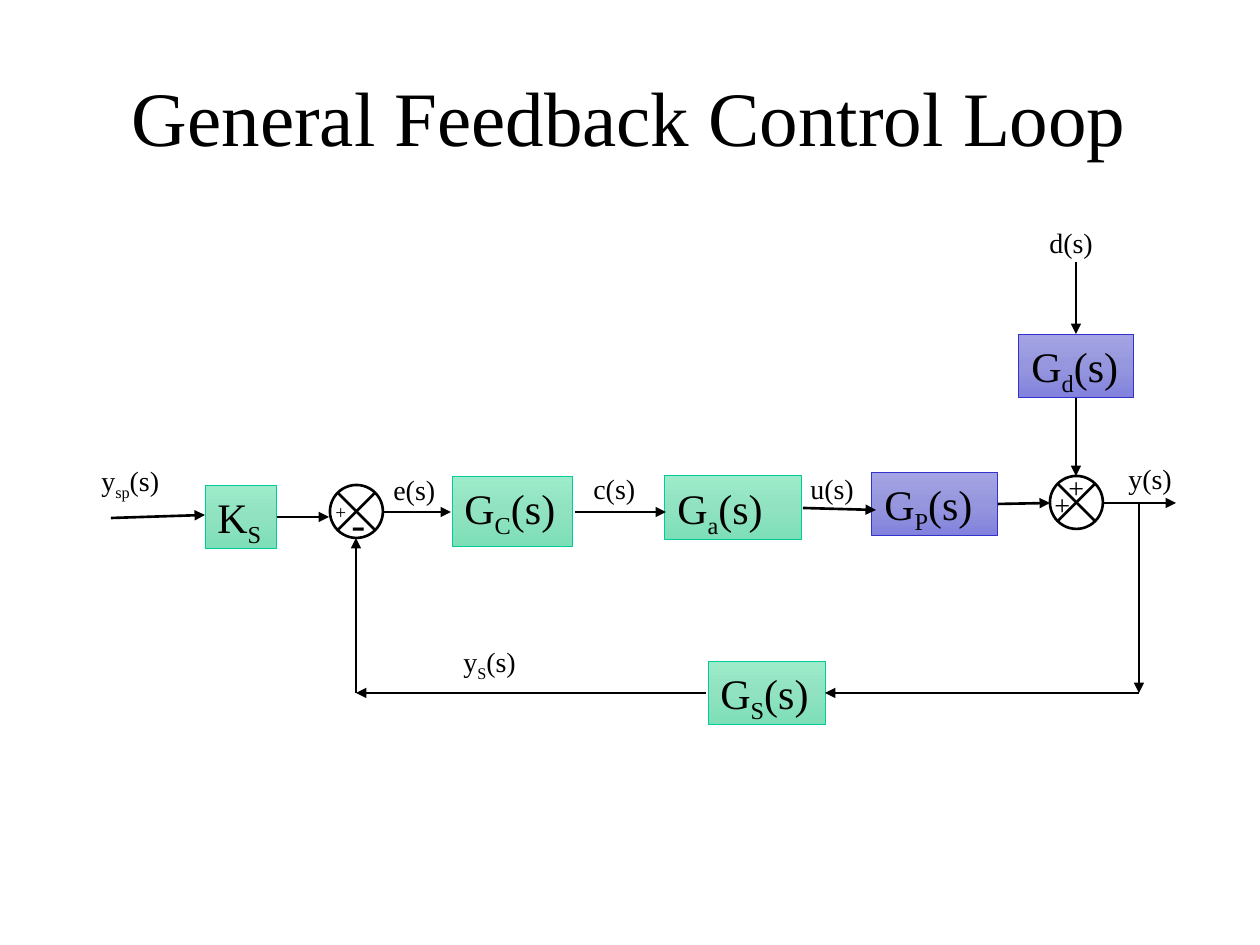
import copy

import pptx
import pptx.dml.color
import pptx.enum.shapes
import pptx.enum.text
import pptx.oxml
import pptx.oxml.ns
import pptx.util

SHAPE = pptx.enum.shapes.MSO_SHAPE
ANCHOR = pptx.enum.text.MSO_ANCHOR
ALIGN = pptx.enum.text.PP_ALIGN
AUTO_SIZE = pptx.enum.text.MSO_AUTO_SIZE
qn = pptx.oxml.ns.qn

EMU_PER_PX = 914400 // 126
GREEN = ("9DEBCA", "90E2C0", "7CDFB8", "00CC99")
BLUE = ("A4A4E4", "9696DE", "8282DE", "3333CC")


def px(*lengths):
    return [pptx.util.Emu(n * EMU_PER_PX) for n in lengths]


def rgb(value):
    return pptx.dml.color.RGBColor.from_string(value)


class Diagram:
    font = "Times New Roman"
    ink = "000000"
    line_width = 1.5

    def __init__(self, slide):
        self.s = slide

    def add_text(self, tf, parts, size, wrap, align=ALIGN.LEFT, anchor=ANCHOR.TOP):
        tf.word_wrap = wrap
        tf.vertical_anchor = anchor
        p = tf.paragraphs[0]
        p.alignment = align
        for i, part in enumerate(parts):
            r = p.add_run()
            r.text = part
            r.font.name = self.font
            r.font.size = pptx.util.Pt(size)
            r.font.color.rgb = rgb(self.ink)
            if i == 1:
                r._r.get_or_add_rPr().set("baseline", "-25000")

    def stroke(self, line, color, width):
        line.color.rgb = rgb(color)
        line.width = pptx.util.Pt(width)

    def title(self, text, *box):
        sp = self.s.shapes.title
        sp.left, sp.top, sp.width, sp.height = px(*box)
        sp.text_frame.auto_size = AUTO_SIZE.NONE
        self.add_text(sp.text_frame, [text], 44, True, ALIGN.CENTER, ANCHOR.MIDDLE)

    def block(self, parts, palette, *box, wrap=False):
        sp = self.s.shapes.add_shape(SHAPE.RECTANGLE, *px(*box))
        sp.shadow.inherit = False
        sp.fill.gradient()
        sp.fill.gradient_angle = 270
        gs = sp._element.spPr.find(".//" + qn("a:gs"))
        gs.addnext(copy.deepcopy(gs))
        for stop, color, position in zip(sp.fill.gradient_stops, palette, (0, 0.5, 1)):
            stop.color.rgb = rgb(color)
            stop.position = position
        self.stroke(sp.line, palette[-1], 0.5)
        self.add_text(sp.text_frame, parts, 24, wrap)
        sp.text_frame.auto_size = AUTO_SIZE.SHAPE_TO_FIT_TEXT

    def junction(self, x, y, size=53):
        sp = self.s.shapes.add_shape(SHAPE.FLOWCHART_SUMMING_JUNCTION, *px(x, y, size, size))
        sp.shadow.inherit = False
        sp.fill.background()
        self.stroke(sp.line, self.ink, self.line_width)

    def arrow(self, *ends):
        c = self.s.shapes.add_connector(pptx.enum.shapes.MSO_CONNECTOR.STRAIGHT, *px(*ends))
        self.stroke(c.line, self.ink, self.line_width)
        ln = c.line._get_or_add_ln()
        ln.append(pptx.oxml.parse_xml(f'<a:tailEnd {pptx.oxml.ns.nsdecls("a")} type="triangle"/>'))
        c._element.spPr.append(pptx.oxml.parse_xml(f'<a:effectLst {pptx.oxml.ns.nsdecls("a")}/>'))

    def label(self, parts, x, y, w, h=47, size=16, wrap=False):
        sp = self.s.shapes.add_textbox(*px(x, y, w, h))
        self.add_text(sp.text_frame, parts, size, wrap)
        sp.text_frame.auto_size = AUTO_SIZE.SHAPE_TO_FIT_TEXT


def main():
    prs = pptx.Presentation()
    prs.slide_width, prs.slide_height = px(1260, 945)
    d = Diagram(prs.slides.add_slide(prs.slide_layouts[5]))

    d.title("General Feedback Control Loop", 94, 84, 1071, 63)

    d.block(["G", "P", "(s)"], BLUE, 872, 472, 126, 64, wrap=True)
    d.block(["G", "a", "(s)"], GREEN, 665, 476, 137, 64, wrap=True)
    d.block(["G", "C", "(s)"], GREEN, 452, 476, 120, 71)
    d.block(["K", "S"], GREEN, 205, 485, 72, 64)
    d.block(["G", "S", "(s)"], GREEN, 708, 661, 117, 64)
    d.block(["G", "d", "(s)"], BLUE, 1019, 334, 115, 64)

    d.junction(330, 485)
    d.junction(1050, 476)

    for ends in (
        (111, 518, 205, 515),
        (277, 517, 329, 517),
        (382, 512, 451, 512),
        (575, 512, 666, 512),
        (803, 508, 876, 510),
        (998, 504, 1050, 503),
        (1103, 503, 1176, 503),
        (1139, 503, 1139, 693),
        (1139, 693, 825, 693),
        (706, 693, 356, 693),
        (356, 693, 356, 538),
        (1076, 398, 1076, 476),
        (1076, 262, 1076, 334),
    ):
        d.arrow(*ends)

    d.label(["d(s)"], 1037, 219, 69)
    d.label(["y", "sp", "(s)"], 89, 457, 87)
    d.label(["+"], 323, 494, 35, 37, size=11, wrap=True)
    d.label(["-"], 339, 491, 37, 64, size=24, wrap=True)
    d.label(["+"], 1056, 464, 42)
    d.label(["+"], 1042, 481, 42)
    d.label(["u(s)"], 798, 465, 69)
    d.label(["y(s)"], 1116, 455, 69)
    d.label(["c(s)"], 581, 465, 68)
    d.label(["e(s)"], 381, 466, 68)
    d.label(["y", "S", "(s)"], 451, 638, 81)

    prs.save("out.pptx")


if __name__ == "__main__":
    main()
